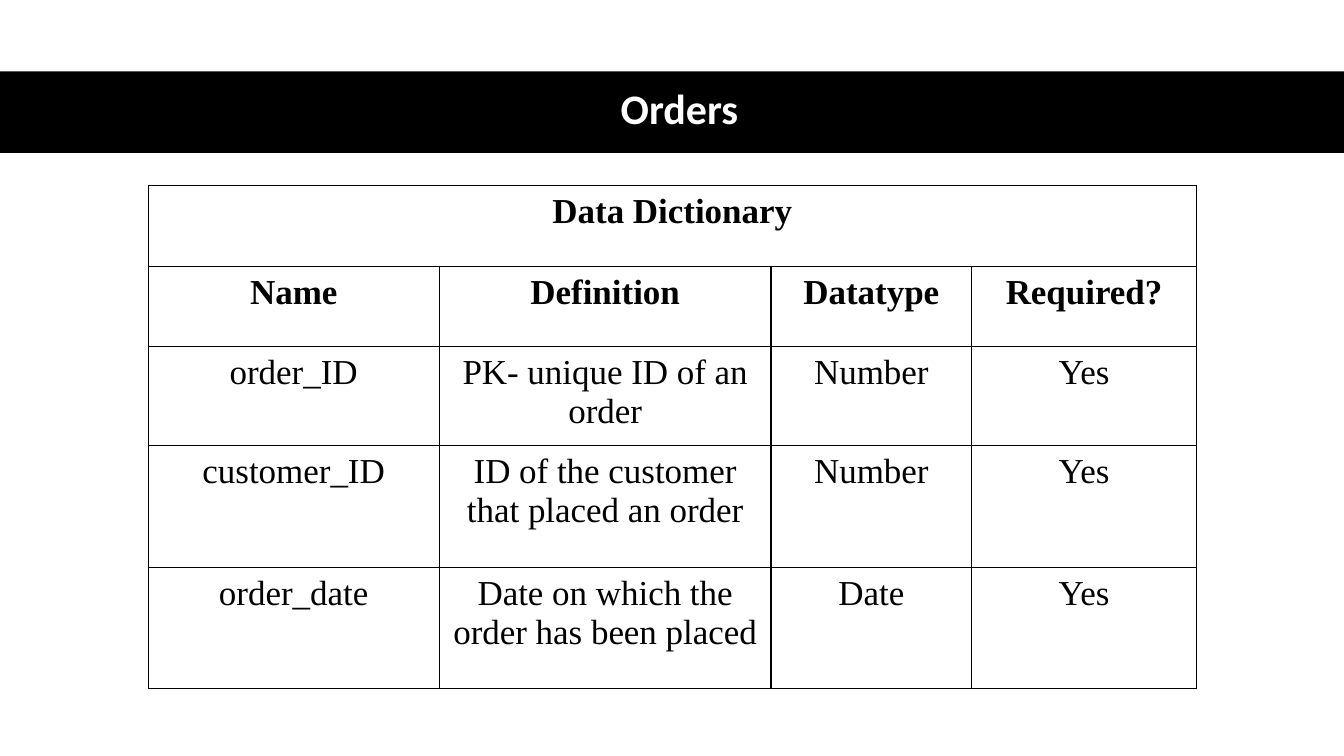
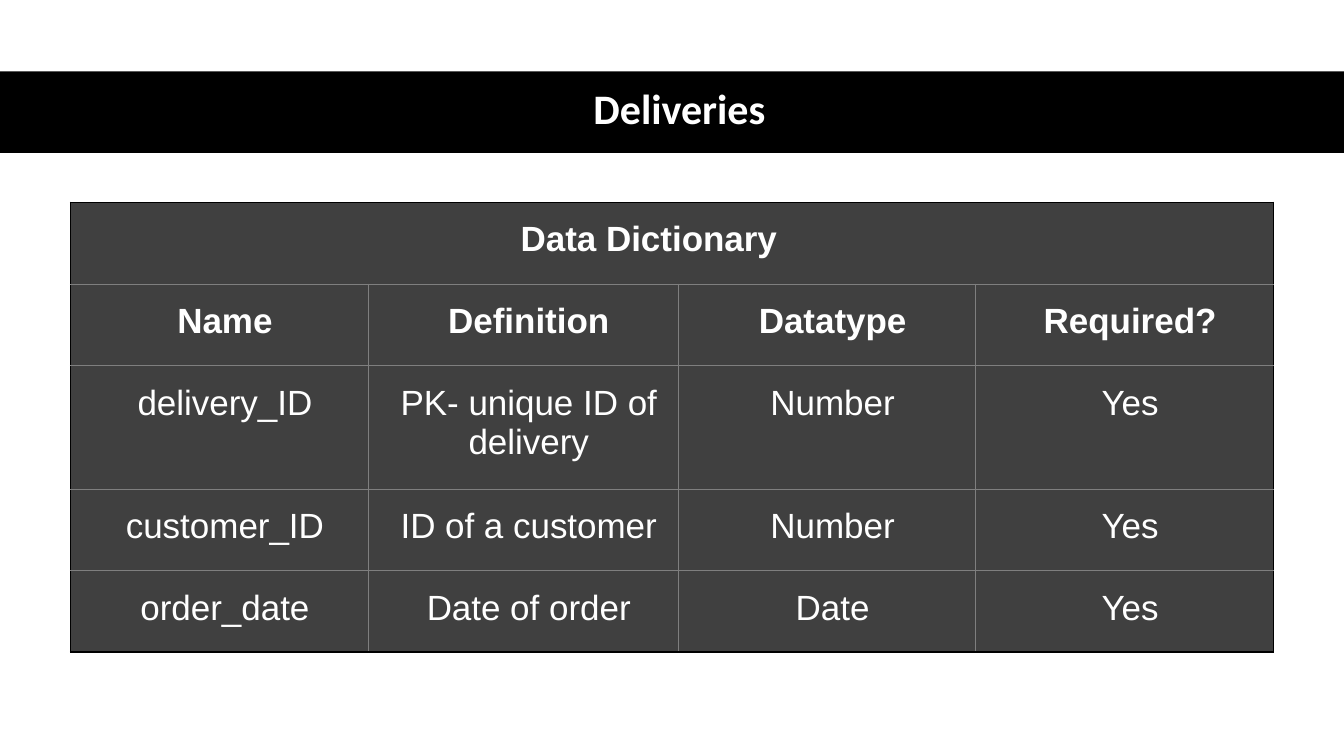
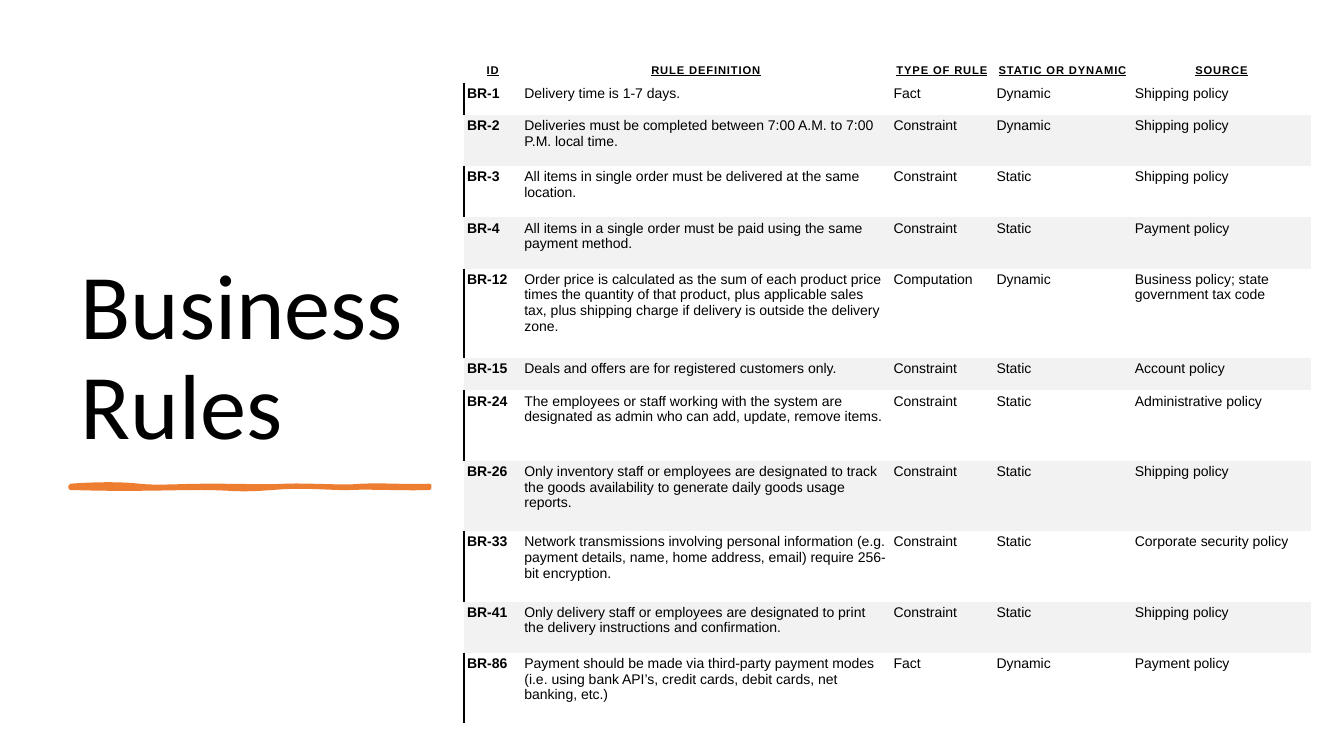
from lxml.etree import SubElement
from pptx import Presentation
from pptx.dml.color import RGBColor
from pptx.enum.shapes import MSO_SHAPE
from pptx.enum.text import MSO_ANCHOR, PP_ALIGN
from pptx.oxml.ns import qn
from pptx.util import Pt

rgb = RGBColor.from_string
BLACK, WHITE, ORANGE = "000000", "FFFFFF", "ED7D31"
DARK, GREY, BAND = "404040", "7F7F7F", "F2F2F2"
NO_GRID_STYLE = "{2D5ABB26-0587-4C30-8999-92F81FD0307C}"


def add_grid(slide, left, top, widths, heights):
    """Add an unstyled table with the given column widths and row heights."""
    frame = slide.shapes.add_table(len(heights), len(widths), Pt(left), Pt(top),
                                   Pt(sum(widths)), Pt(sum(heights)))
    grid = frame.table
    grid.first_row = grid.horz_banding = False
    for style in frame.element.iter(qn("a:tableStyleId")):
        style.text = NO_GRID_STYLE
    for column, width in zip(grid.columns, widths):
        column.width = Pt(width)
    for row, height in zip(grid.rows, heights):
        row.height = Pt(height)
    return grid


def write_cell(cell, text, face, size, color, bold, align, margins, fill, edges):
    """Fill one cell; margins run left, top, right, bottom; edges map side to line."""
    cell.margin_left, cell.margin_top, cell.margin_right, cell.margin_bottom = map(Pt, margins)
    properties = cell._tc.get_or_add_tcPr()
    for side, (line_color, line_width) in edges.items():
        line = SubElement(properties, qn(f"a:ln{side}"), w=str(Pt(line_width)))
        solid = SubElement(line, qn("a:solidFill"))
        SubElement(solid, qn("a:srgbClr"), val=line_color)
    if fill:
        cell.fill.solid()
        cell.fill.fore_color.rgb = rgb(fill)
    else:
        cell.fill.background()
    cell.text = text
    paragraph = cell.text_frame.paragraphs[0]
    paragraph.alignment = align
    font = paragraph.font
    font.name, font.size, font.bold = face, Pt(size), bold
    font.color.rgb = rgb(color)
    return paragraph


deck = Presentation()
deck.slide_width, deck.slide_height = Pt(960), Pt(540)
blank = deck.slide_layouts[6]

# Data dictionary slides
headings = [["Data Dictionary", "", "", ""],
            ["Name", "Definition", "Datatype", "Required?"]]
dictionaries = [
    dict(title="Orders", at=(105.8, 132.5), face="Times New Roman", color=BLACK, fill=None,
         widths=[208, 237, 143.3, 160.6], heights=[57.6, 57.6, 70.6, 87, 86.4],
         margins=(5, 5, 5, 5), heading_right=5, outer=(BLACK, 1), inner=(BLACK, 1),
         fields=[["order_ID", "PK- unique ID of an order", "Number", "Yes"],
                 ["customer_ID", "ID of the customer that placed an order", "Number", "Yes"],
                 ["order_date", "Date on which the order has been placed", "Date", "Yes"]]),
    dict(title="Deliveries", at=(50.4, 144.4), face="Arial", color=WHITE, fill=DARK,
         widths=[212.5, 221.6, 212.5, 212.5], heights=[58.4, 58.4, 88, 58.4, 58.2],
         margins=(17, 13, 9, 13), heading_right=50, outer=(BLACK, 1), inner=(GREY, 0.5),
         fields=[["delivery_ID", "PK- unique ID of delivery", "Number", "Yes"],
                 ["customer_ID", "ID of a customer", "Number", "Yes"],
                 ["order_date", "Date of order", "Date", "Yes"]]),
]

for entry in dictionaries:
    slide = deck.slides.add_slide(blank)

    # Title band
    band = slide.shapes.add_shape(MSO_SHAPE.RECTANGLE, Pt(0), Pt(51), Pt(960), Pt(58.3))
    band.shadow.inherit = False
    band.fill.solid()
    band.fill.fore_color.rgb = rgb(BLACK)
    band.line.fill.background()
    title = slide.shapes.add_textbox(Pt(44), Pt(50.4), Pt(882.7), Pt(58.3)).text_frame
    title.word_wrap = True
    title.vertical_anchor = MSO_ANCHOR.MIDDLE
    title.text = entry["title"]
    heading = title.paragraphs[0]
    heading.alignment = PP_ALIGN.CENTER
    heading.line_spacing = 0.9
    heading.space_after = Pt(6)
    heading.font.name, heading.font.size, heading.font.bold = "Calibri", Pt(30), True
    heading.font.color.rgb = rgb(WHITE)

    # Field table
    grid = add_grid(slide, *entry["at"], entry["widths"], entry["heights"])
    grid.cell(0, 0).merge(grid.cell(0, 3))
    rows = headings + entry["fields"]
    for r, row in enumerate(rows):
        for c, text in enumerate(row):
            on_outside = {"L": r == 0 or c == 0, "R": r == 0 or c == 3,
                          "T": r == 0, "B": r == len(rows) - 1}
            edges = {side: entry["outer"] if outside else entry["inner"]
                     for side, outside in on_outside.items()}
            left, top, right, bottom = entry["margins"]
            if r == 0:
                right = entry["heading_right"]
            write_cell(grid.cell(r, c), text, entry["face"], 25, entry["color"], r < 2,
                       PP_ALIGN.CENTER, (left, top, right, bottom), entry["fill"], edges)

# Business rules slide
slide = deck.slides.add_slide(blank)
title = slide.shapes.add_textbox(Pt(50.4), Pt(50.4), Pt(281.5), Pt(281.5)).text_frame
title.word_wrap = True
title.vertical_anchor = MSO_ANCHOR.BOTTOM
title.text = "Business Rules"
heading = title.paragraphs[0]
heading.line_spacing = 0.9
heading.font.name, heading.font.size = "Calibri", Pt(66)
heading.font.color.rgb = rgb(BLACK)

# Brush stroke under the title: each curve has two controls and an end point
start = (50.4, 347)
curves = [
    ((69.8, 345.6), (87.1, 345.6), (99.4, 347)),
    ((111.6, 348.5), (127.4, 347), (150.5, 347)),
    ((173.5, 347), (187.2, 347.8), (204.5, 347)),
    ((221.8, 346.3), (244.1, 348.5), (258.5, 347)),
    ((272.9, 346.3), (296.6, 347.8), (306.7, 347)),
    ((306.7, 347.8), (306.7, 348.5), (306.7, 348.5)),
    ((293.8, 349.2), (262.1, 347.8), (250.6, 348.5)),
    ((239, 349.2), (218.9, 346.3), (194.4, 348.5)),
    ((169.2, 350.6), (166.3, 348.5), (143.3, 348.5)),
    ((119.5, 348.5), (95, 349.9), (50.4, 348.5)),
]
outline = []
origin = start
for first, second, end in curves:
    for step in range(1, 9):
        t = step / 8
        outline.append(tuple(
            Pt((1 - t) ** 3 * a + 3 * (1 - t) ** 2 * t * b + 3 * (1 - t) * t ** 2 * c + t ** 3 * d)
            for a, b, c, d in zip(origin, first, second, end)))
    origin = end
builder = slide.shapes.build_freeform(Pt(start[0]), Pt(start[1]))
builder.add_line_segments(outline, close=True)
brush = builder.convert_to_shape()
brush.shadow.inherit = False
brush.fill.solid()
brush.fill.fore_color.rgb = rgb(ORANGE)
brush.line.color.rgb = rgb(ORANGE)
brush.line.width = Pt(3)

# Rule table
rule_headings = ["ID", "RULE DEFINITION", "TYPE OF RULE", "STATIC OR DYNAMIC", "SOURCE"]
rules = [
    ["BR-1", "Delivery time is 1-7 days.", "Fact", "Dynamic", "Shipping policy"],
    ["BR-2", "Deliveries must be completed between 7:00 A.M. to 7:00 P.M. local time.",
     "Constraint", "Dynamic", "Shipping policy"],
    ["BR-3", "All items in single order must be delivered at the same location.",
     "Constraint", "Static", "Shipping policy"],
    ["BR-4", "All items in a single order must be paid using the same payment method.",
     "Constraint", "Static", "Payment policy"],
    ["BR-12", "Order price is calculated as the sum of each product price times the quantity "
     "of that product, plus applicable sales tax, plus shipping charge if delivery is outside "
     "the delivery zone.",
     "Computation", "Dynamic", "Business policy; state government tax code"],
    ["BR-15", "Deals and offers are for registered customers only.",
     "Constraint", "Static", "Account policy"],
    ["BR-24", "The employees or staff working with the system are designated as admin who can "
     "add, update, remove items.",
     "Constraint", "Static", "Administrative policy"],
    ["BR-26", "Only inventory staff or employees are designated to track the goods availability "
     "to generate daily goods usage reports.",
     "Constraint", "Static", "Shipping policy"],
    ["BR-33", "Network transmissions involving personal information (e.g. payment details, name, "
     "home address, email) require 256-bit encryption.",
     "Constraint", "Static", "Corporate security policy"],
    ["BR-41", "Only delivery staff or employees are designated to print the delivery "
     "instructions and confirmation.",
     "Constraint", "Static", "Shipping policy"],
    ["BR-86", "Payment should be made via third-party payment modes (i.e. using bank API’s, "
     "credit cards, debit cards, net banking, etc.)",
     "Fact", "Dynamic", "Payment policy"],
]
grid = add_grid(slide, 331.4, 27.4, [41, 263.7, 73.6, 98.8, 128.2],
                [31.7, 23, 36.6, 36.6, 36.6, 64, 23, 50.3, 50.3, 50.3, 36.6, 50.3])
for c, text in enumerate(rule_headings):
    cell = grid.cell(0, c)
    cell.vertical_anchor = MSO_ANCHOR.BOTTOM
    label = write_cell(cell, text, "Arial", 8, BLACK, True, PP_ALIGN.CENTER,
                       (2.2, 4.3, 2.2, 4.3), None, {})
    label.font.underline = True
    label._p.pPr.find(qn("a:defRPr")).set("spc", "60")
for r, rule in enumerate(rules, start=1):
    shaded = r % 2 == 0
    for c, text in enumerate(rule):
        edges = {"L": (BLACK, 1)} if c == 0 and not shaded else {}
        write_cell(grid.cell(r, c), text, "Arial", 10, BLACK, c == 0, PP_ALIGN.LEFT,
                   (2.2, 2.2, 2.2, 4.3), BAND if shaded else None, edges)

deck.save("out.pptx")
